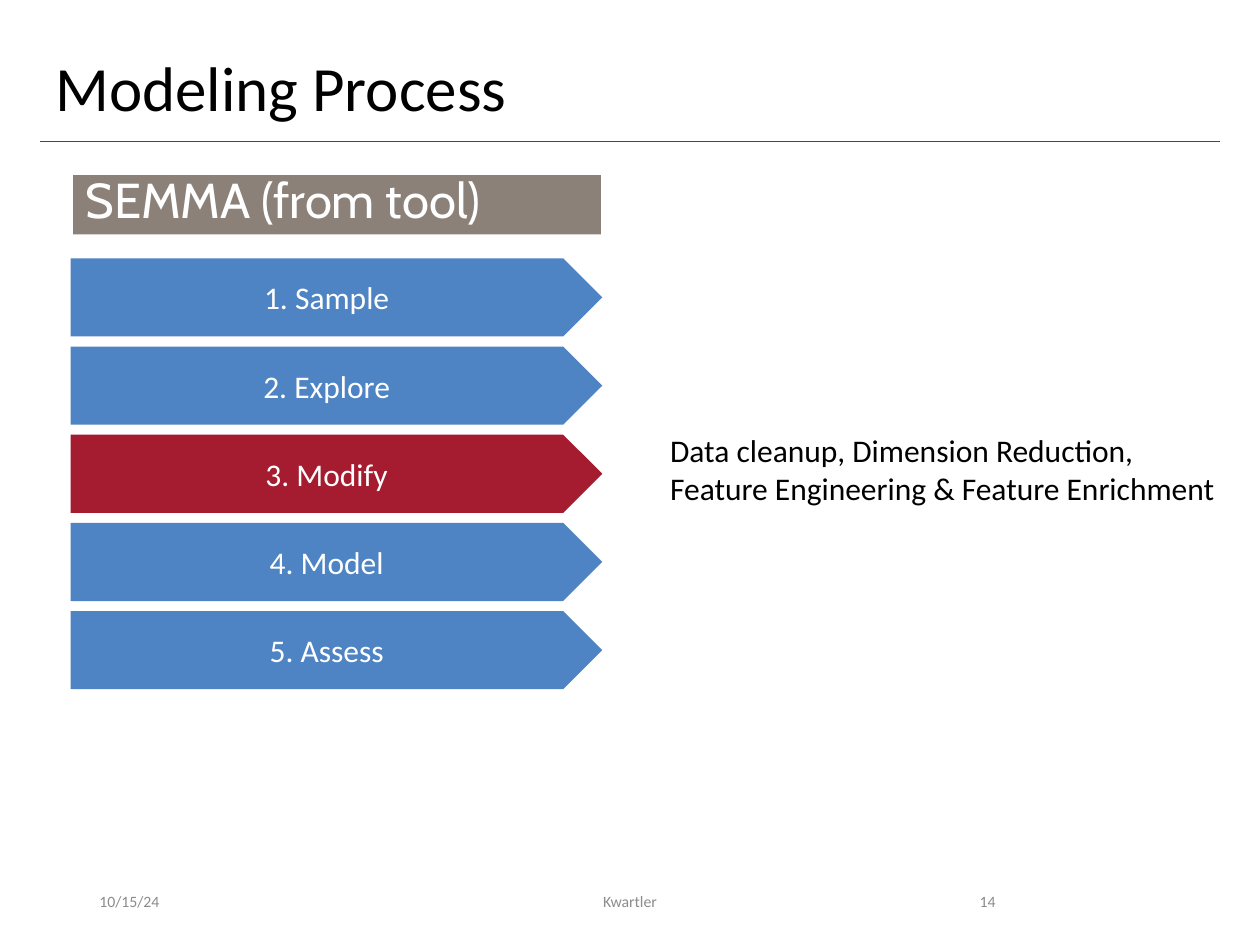
from pptx import Presentation
from pptx.dml.color import RGBColor
from pptx.enum.shapes import MSO_CONNECTOR, MSO_SHAPE
from pptx.enum.text import MSO_ANCHOR as Anchor, PP_ALIGN as Align
from pptx.oxml.ns import qn
from pptx.util import Inches, Pt
from lxml import etree

# Content
TITLE = "Modeling Process"
HEADING = "SEMMA (from tool)"
STEPS = ["1. Sample", "2. Explore", "3. Modify", "4. Model", "5. Assess"]
CURRENT_STEP = "3. Modify"
NOTE = "Data cleanup, Dimension Reduction, Feature Engineering & Feature Enrichment"
FOOTERS = [  # text, left, width, alignment
    ("10/15/24", 0.69, 2.25, Align.LEFT),
    ("Kwartler", 3.31, 3.38, Align.CENTER),
    ("14", 7.06, 0.94, Align.RIGHT),
]

# Style
BLACK, WHITE, GRAY = "000000", "FFFFFF", "8C8C8C"
BLUE, CRIMSON, TAUPE = "4E84C4", "A51C30", "8C8179"
STEP_LEFT, STEP_TOP, STEP_WIDTH, STEP_HEIGHT, STEP_PITCH = 0.56, 2.05, 4.22, 0.62, 0.7


def color(value):
    return RGBColor.from_string(value)


def write(shape, text, size, text_color, font="Calibri", align=Align.LEFT,
          anchor=Anchor.TOP, line_spacing=None):
    frame = shape.text_frame
    frame.word_wrap = True
    frame.vertical_anchor = anchor
    paragraph = frame.paragraphs[0]
    paragraph.alignment = align
    paragraph.line_spacing = line_spacing
    run = paragraph.add_run()
    run.text = text
    run.font.name = font
    run.font.size = Pt(size)
    run.font.color.rgb = color(text_color)


def add_text(slide, box, text, size, text_color, **style):
    shape = slide.shapes.add_textbox(*map(Inches, box))
    write(shape, text, size, text_color, **style)


def add_block(slide, kind, box, fill, text, size, **style):
    shape = slide.shapes.add_shape(kind, *map(Inches, box))
    shape.shadow.inherit = False
    shape.fill.solid()
    shape.fill.fore_color.rgb = color(fill)
    shape.line.fill.background()
    write(shape, text, size, WHITE, **style)


def main():
    presentation = Presentation()
    presentation.slide_width, presentation.slide_height = Inches(10), Inches(7.5)
    slide = presentation.slides.add_slide(presentation.slide_layouts[6])

    # Title and rule
    rule = slide.shapes.add_connector(
        MSO_CONNECTOR.STRAIGHT, *map(Inches, (0.32, 1.12, 9.68, 1.12)))
    rule.line.color.rgb = color(CRIMSON)
    rule.line.width = Pt(0.5)
    etree.SubElement(rule._element.spPr, qn("a:effectLst"))
    add_text(slide, (0.34, 0.4, 9.31, 0.65), TITLE, 36, BLACK, line_spacing=0.9)

    # Heading and steps
    add_block(slide, MSO_SHAPE.RECTANGLE, (0.58, 1.39, 4.19, 0.47), TAUPE,
              HEADING, 28, font="Cabin", line_spacing=0.8)
    for index, step in enumerate(STEPS):
        box = (STEP_LEFT, STEP_TOP + index * STEP_PITCH, STEP_WIDTH, STEP_HEIGHT)
        fill = CRIMSON if step == CURRENT_STEP else BLUE
        add_block(slide, MSO_SHAPE.PENTAGON, box, fill, step, 18,
                  align=Align.CENTER, anchor=Anchor.MIDDLE)

    # Note on the current step
    add_text(slide, (5.22, 3.37, 4.55, 0.71), NOTE, 18, BLACK)

    # Footer
    for text, left, width, align in FOOTERS:
        add_text(slide, (left, 6.95, width, 0.4), text, 9, GRAY,
                 align=align, anchor=Anchor.MIDDLE)

    presentation.save("out.pptx")


if __name__ == "__main__":
    main()
